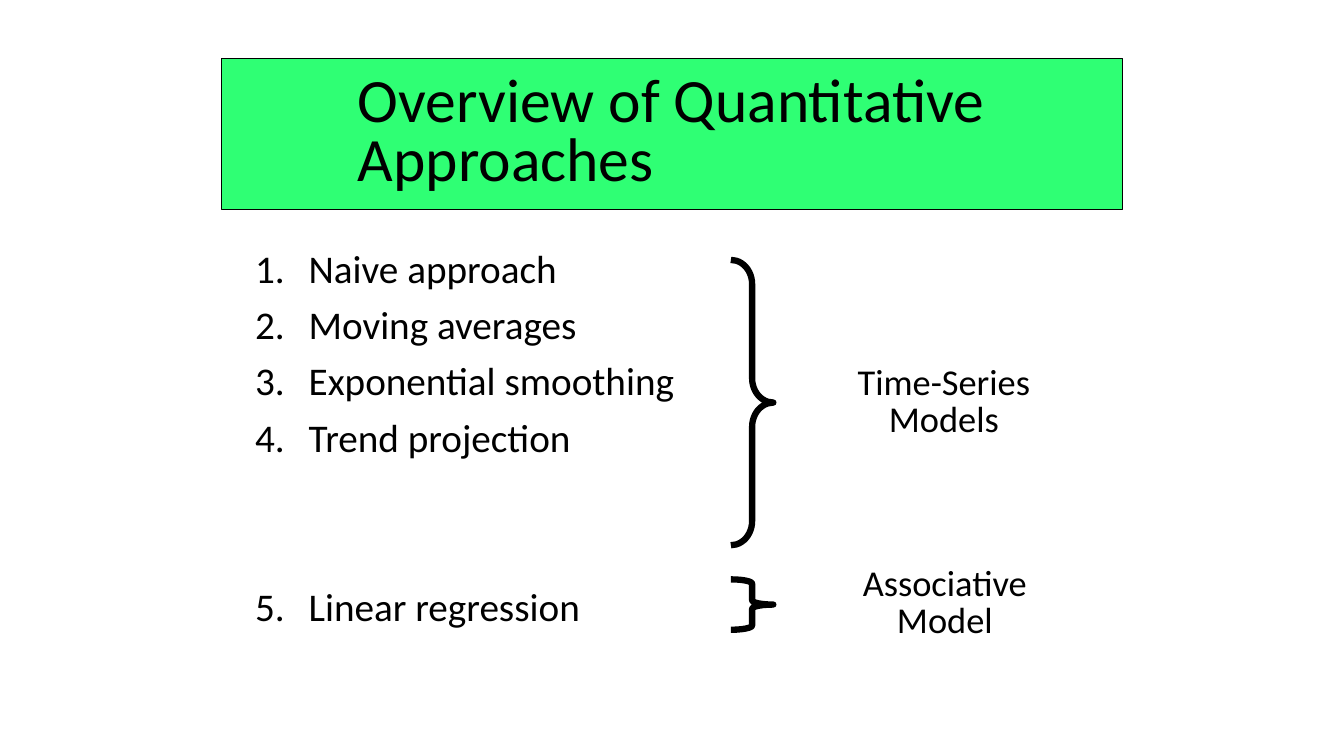
from pptx import Presentation, util as u
from pptx.dml.color import RGBColor
from pptx.enum import shapes, text
from pptx.oxml.ns import qn


def color(code):
    return RGBColor.from_string(code)


class Deck:
    font = "Calibri"
    ink = "000000"
    green = "2FFF74"

    def __init__(self, wide, high):
        self.prs = Presentation()
        self.prs.slide_width, self.prs.slide_height = u.Cm(wide), u.Cm(high)
        self.slide = self.prs.slides.add_slide(self.prs.slide_layouts[6])

    def shape(self, kind, area, line, fill=None):
        item = self.slide.shapes.add_shape(kind, *map(u.Cm, area))
        item.shadow.inherit = False
        item.line.color.rgb = color(self.ink)
        item.line.width = u.Pt(line)
        if fill:
            item.fill.solid()
            item.fill.fore_color.rgb = color(fill)
        else:
            item.fill.background()
        return item

    def frame(self, item, anchor=text.MSO_ANCHOR.TOP):
        tf = item.text_frame
        tf.word_wrap = True
        tf.vertical_anchor = anchor
        tf.margin_left = tf.margin_right = u.Cm(0.28)
        tf.margin_top = tf.margin_bottom = u.Cm(0.13)
        return tf

    def box(self, area):
        return self.frame(self.slide.shapes.add_textbox(*map(u.Cm, area)))

    def words(self, para, line, size, pitch, align=text.PP_ALIGN.LEFT):
        para.alignment = align
        para.line_spacing = pitch
        run = para.add_run()
        run.text = line
        run.font.name = self.font
        run.font.size = u.Pt(size)
        run.font.color.rgb = color(self.ink)

    def indent(self, para, left, first=0):
        props = para._p.get_or_add_pPr()
        props.set("marL", str(u.Cm(left)))
        props.set("indent", str(u.Cm(first)))
        return props

    def title(self, line, area):
        item = self.shape(shapes.MSO_SHAPE.RECTANGLE, area, 0.75, self.green)
        para = self.frame(item, text.MSO_ANCHOR.MIDDLE).paragraphs[0]
        self.words(para, line, 44, 0.8)
        self.indent(para, 3.15)

    def steps(self, rows, area):
        tf = self.box(area)
        for i, (line, gap) in enumerate(rows):
            para = tf.add_paragraph() if i else tf.paragraphs[0]
            self.words(para, line, 28, 0.9)
            para.space_before = u.Pt(gap)
            props = self.indent(para, 1.35, -1.35)
            num = props.makeelement(qn("a:buAutoNum"), {"type": "arabicPeriod"})
            props.append(num)

    def brace(self, area, curve):
        item = self.shape(shapes.MSO_SHAPE.RIGHT_BRACE, area, 4.5)
        item.adjustments[0] = curve
        item.adjustments[1] = 0.5

    def label(self, line, area):
        para = self.box(area).paragraphs[0]
        self.words(para, line, 26, 0.85, text.PP_ALIGN.CENTER)


def main():
    deck = Deck(33.87, 19.05)

    # Title band
    deck.title("Overview of Quantitative Approaches", (5.59, 1.47, 22.71, 3.81))

    # Numbered methods, the last set apart from the rest
    deck.steps([("Naive approach", 10), ("Moving averages", 10),
                ("Exponential smoothing", 10), ("Trend projection", 10),
                ("Linear regression", 91)], (6.15, 6.15, 12.45, 10.36))

    # Model families with their braces
    for line, area, top, high, curve in (
            ("Time-Series Models", (20.5, 9.09, 6.58, 2.16), 6.55, 7.19, 0.57),
            ("Associative Model", (20.78, 14.15, 6.07, 2.16), 14.6, 1.27, 0.1)):
        deck.label(line, area)
        deck.brace((18.42, top, 1.07, high), curve)

    deck.prs.save("out.pptx")


if __name__ == "__main__":
    main()
